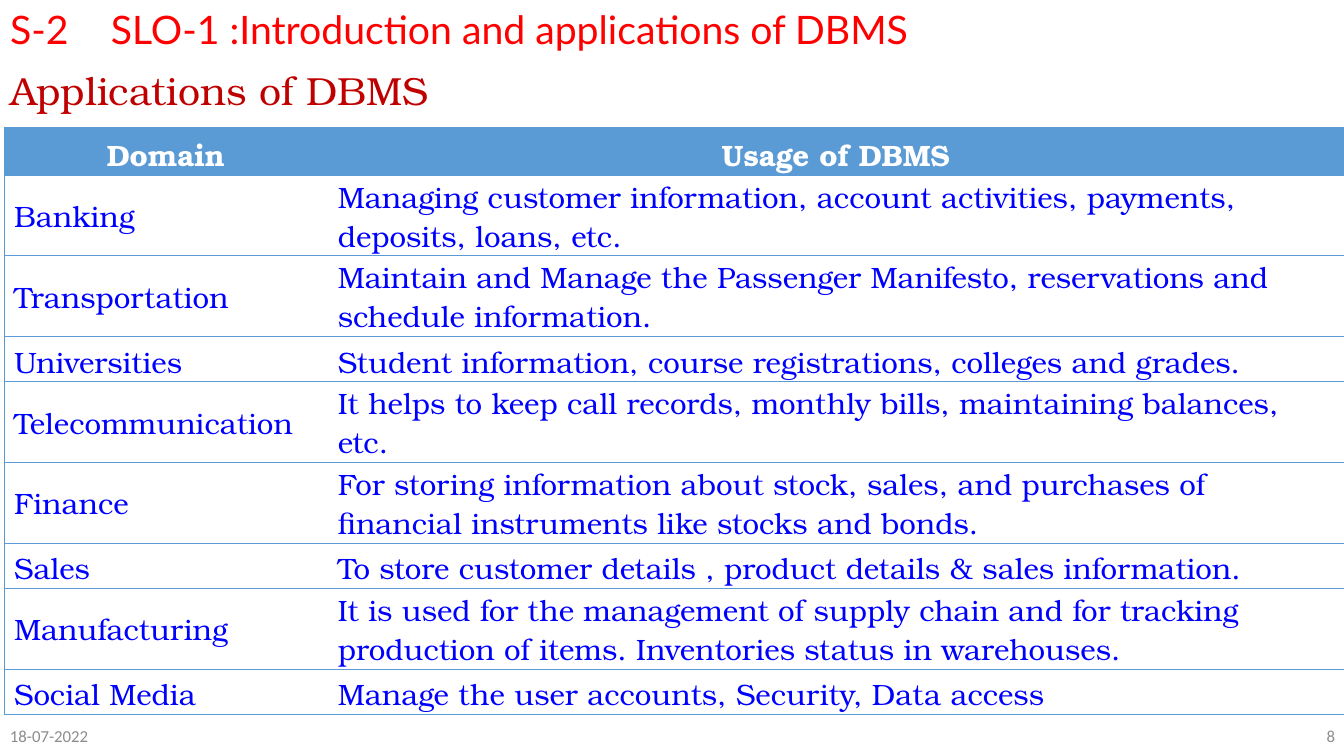
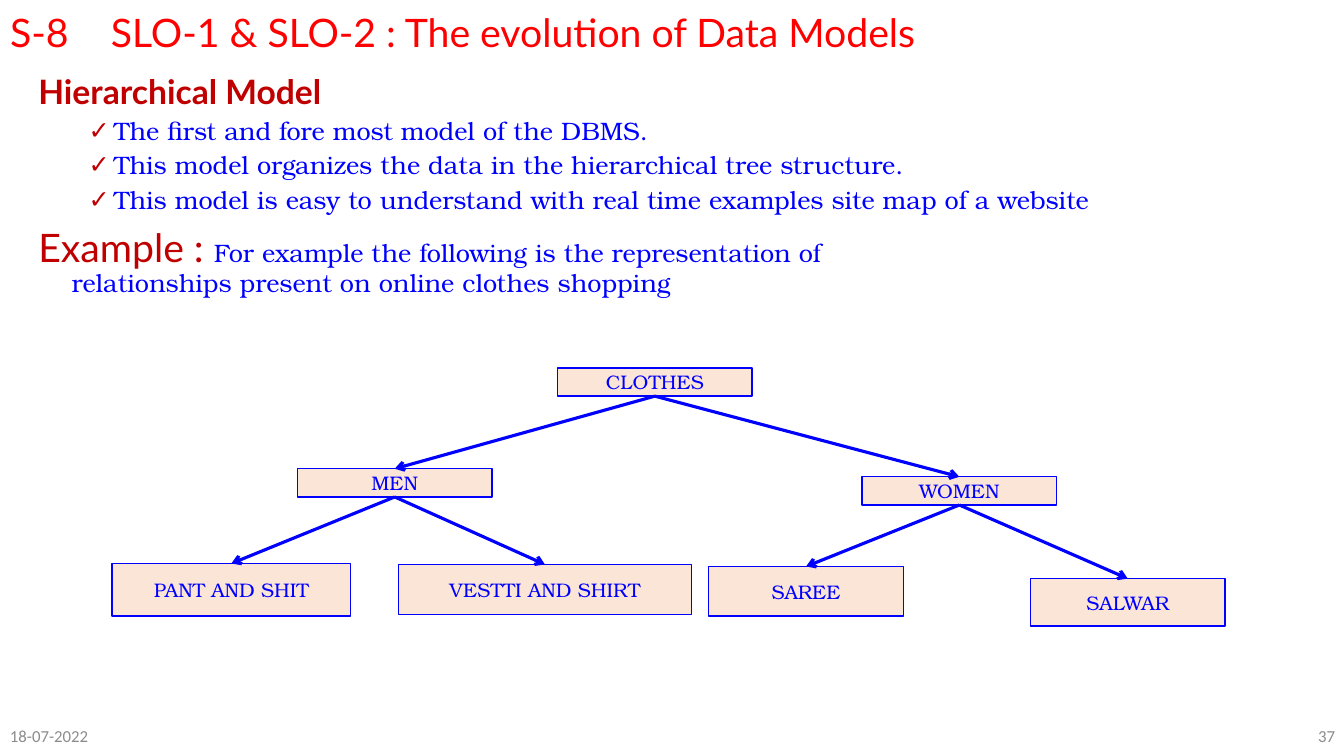
from dataclasses import dataclass

from lxml import etree
from pptx import Presentation
from pptx.dml.color import RGBColor
from pptx.enum.shapes import MSO_CONNECTOR, MSO_SHAPE
from pptx.enum.text import MSO_ANCHOR, MSO_AUTO_SIZE, PP_ALIGN
from pptx.oxml.ns import qn
from pptx.util import Inches, Pt

LEFT, CENTER, RIGHT = PP_ALIGN.LEFT, PP_ALIGN.CENTER, PP_ALIGN.RIGHT
TOP, MIDDLE = MSO_ANCHOR.TOP, MSO_ANCHOR.MIDDLE
NO_AUTOFIT = MSO_AUTO_SIZE.NONE
RECTANGLE, STRAIGHT = MSO_SHAPE.RECTANGLE, MSO_CONNECTOR.STRAIGHT
BOTTOM_SITE, TOP_SITE = 2, 0


@dataclass(frozen=True)
class TextStyle:
    face: str
    size: float
    color: str
    bold: bool = False


@dataclass(frozen=True)
class Theme:
    blue: str = "0000FF"
    table_blue: str = "5B9BD5"
    dark_red: str = "C00000"
    peach: str = "FBE5D6"
    title: TextStyle = TextStyle("Lato", 28, "FF0000")
    subtitle: TextStyle = TextStyle("TeX Gyre Bonum", 28, "C00000")
    heading: TextStyle = TextStyle("Lato", 24, "C00000", True)
    lead: TextStyle = TextStyle("Lato", 28, "C00000")
    body: TextStyle = TextStyle("TeX Gyre Bonum", 18, "0000FF")
    node: TextStyle = TextStyle("TeX Gyre Bonum", 14, "0000FF")
    table_header: TextStyle = TextStyle("TeX Gyre Bonum", 21, "FFFFFF", True)
    table_body: TextStyle = TextStyle("TeX Gyre Bonum", 21, "0000FF")
    footer: TextStyle = TextStyle("Calibri", 12, "8C8C8C")


@dataclass(frozen=True)
class Box:
    left: float
    top: float
    width: float
    height: float

    def lengths(self) -> tuple:
        return tuple(Inches(value) for value in (self.left, self.top, self.width, self.height))


@dataclass(frozen=True)
class Usage:
    domain: str
    text: str
    lines: int = 2


@dataclass(frozen=True)
class Node:
    label: str
    box: Box
    parent: str = ""


THEME = Theme()
DATE = "18-07-2022"
ROW_HEIGHTS = {1: 0.45, 2: 0.8}
ROW_TOP_MARGINS = {1: 0.05, 2: 0.01}

USAGES = [
    Usage("Domain", "Usage of DBMS", 1),
    Usage("Banking", "Managing customer information, account activities, payments, deposits, loans, etc."),
    Usage("Transportation", "Maintain and Manage the Passenger Manifesto, reservations and schedule information."),
    Usage("Universities", "Student information, course registrations, colleges and grades.", 1),
    Usage("Telecommunication", "It helps to keep call records, monthly bills, maintaining balances, etc."),
    Usage("Finance", "For storing information about stock, sales, and purchases of financial instruments "
          "like stocks and bonds."),
    Usage("Sales", "To store customer details , product details & sales information.", 1),
    Usage("Manufacturing", "It is used for the management of supply chain and for tracking production of items. "
          "Inventories status in warehouses."),
    Usage("Social Media", "Manage the user accounts, Security, Data access", 1),
]

MODEL_POINTS = [
    "The first and fore most model of the DBMS.",
    "This model organizes the data in the hierarchical tree structure.",
    "This model is easy to understand with real time examples site map of a website",
]

NODES = [
    Node("CLOTHES", Box(5.53, 3.65, 1.93, 0.28)),
    Node("MEN", Box(2.95, 4.65, 1.93, 0.28), "CLOTHES"),
    Node("WOMEN", Box(8.55, 4.73, 1.93, 0.28), "CLOTHES"),
    Node("PANT AND SHIT", Box(1.11, 5.59, 2.37, 0.52), "MEN"),
    Node("VESTTI AND SHIRT", Box(3.95, 5.6, 2.91, 0.5), "MEN"),
    Node("SAREE", Box(7.03, 5.62, 1.93, 0.49), "WOMEN"),
    Node("SALWAR", Box(10.22, 5.74, 1.93, 0.47), "WOMEN"),
]


def rgb(color: str) -> RGBColor:
    return RGBColor.from_string(color)


def apply_font(font, style: TextStyle) -> None:
    font.name = style.face
    font.size = Pt(style.size)
    font.bold = style.bold
    font.color.rgb = rgb(style.color)


def write(paragraph, text: str, style: TextStyle, alignment=LEFT) -> None:
    paragraph.text = text
    paragraph.alignment = alignment
    apply_font(paragraph.font, style)


def place(shape, box: Box, anchor=TOP) -> None:
    shape.left, shape.top, shape.width, shape.height = box.lengths()
    frame = shape.text_frame
    frame.word_wrap = True
    frame.auto_size = NO_AUTOFIT
    frame.vertical_anchor = anchor


def format_body(paragraph, indent: float, hanging: float, before: float, bullet: str = "") -> None:
    properties = paragraph._p.get_or_add_pPr()
    properties.set("marL", str(Inches(indent)))
    properties.set("indent", str(-Inches(hanging)))
    if bullet:
        color = etree.SubElement(properties, qn("a:buClr"))
        etree.SubElement(color, qn("a:srgbClr")).set("val", THEME.dark_red)
        etree.SubElement(properties, qn("a:buChar")).set("char", bullet)
    else:
        etree.SubElement(properties, qn("a:buNone"))
    paragraph.line_spacing = 0.9
    paragraph.space_before = Pt(before)


def add_slide(presentation, title: str, title_top: float, number: str, body_box: Box):
    slide = presentation.slides.add_slide(presentation.slide_layouts[1])
    place(slide.shapes.title, Box(0, title_top, 12, 0.57))
    write(slide.shapes.title.text_frame.paragraphs[0], title, THEME.title)
    place(slide.placeholders[1], body_box)
    for left, text, alignment in ((0, DATE, LEFT), (8.92, number, RIGHT)):
        box = Box(left, 7.1, 4.42, 0.4)
        footer = slide.shapes.add_textbox(*box.lengths())
        place(footer, box, MIDDLE)
        write(footer.text_frame.paragraphs[0], text, THEME.footer, alignment)
    return slide


def set_borders(cell, sides: str) -> None:
    properties = cell._tc.get_or_add_tcPr()
    for side in "LRTB":
        line = etree.SubElement(properties, qn(f"a:ln{side}"))
        if side in sides:
            line.set("w", str(Pt(0.5)))
            fill = etree.SubElement(line, qn("a:solidFill"))
            etree.SubElement(fill, qn("a:srgbClr")).set("val", THEME.table_blue)
        else:
            etree.SubElement(line, qn("a:noFill"))


def add_usage_table(slide) -> None:
    box = Box(0.04, 1.26, 13.29, 5.8)
    table = slide.shapes.add_table(len(USAGES), 2, *box.lengths()).table
    table.first_row = table.horz_banding = False
    for column, width in zip(table.columns, (3.21, 10.08)):
        column.width = Inches(width)
    for row_index, usage in enumerate(USAGES):
        is_header = row_index == 0
        row = table.rows[row_index]
        row.height = Inches(ROW_HEIGHTS[usage.lines])
        for cell, text, sides in zip(row.cells, (usage.domain, usage.text), ("LTB", "RTB")):
            cell.margin_top = Inches(ROW_TOP_MARGINS[usage.lines])
            cell.margin_bottom = 0
            cell.vertical_anchor = MIDDLE
            set_borders(cell, sides)
            if is_header:
                cell.fill.solid()
                cell.fill.fore_color.rgb = rgb(THEME.table_blue)
            else:
                cell.fill.background()
            write(cell.text_frame.paragraphs[0], text,
                  THEME.table_header if is_header else THEME.table_body,
                  CENTER if is_header else LEFT)


def add_node(slide, node: Node):
    shape = slide.shapes.add_shape(RECTANGLE, *node.box.lengths())
    shape.shadow.inherit = False
    shape.fill.solid()
    shape.fill.fore_color.rgb = rgb(THEME.peach)
    shape.line.color.rgb = rgb(THEME.blue)
    shape.line.width = Pt(1)
    frame = shape.text_frame
    frame.margin_top = frame.margin_bottom = 0
    frame.vertical_anchor = MIDDLE
    write(frame.paragraphs[0], node.label, THEME.node, CENTER)
    return shape


def add_arrow(slide, parent, child) -> None:
    connector = slide.shapes.add_connector(STRAIGHT, 0, 0, 0, 0)
    connector.begin_connect(parent, BOTTOM_SITE)
    connector.end_connect(child, TOP_SITE)
    connector.line.color.rgb = rgb(THEME.blue)
    connector.line.width = Pt(2.25)
    properties = connector._element.spPr
    etree.SubElement(properties.find(qn("a:ln")), qn("a:tailEnd")).set("type", "arrow")
    etree.SubElement(properties, qn("a:effectLst"))


def add_tree(slide) -> None:
    shapes = {node.label: add_node(slide, node) for node in NODES}
    for node in NODES:
        if node.parent:
            add_arrow(slide, shapes[node.parent], shapes[node.label])


def build_applications(presentation) -> None:
    slide = add_slide(presentation, "S-2\tSLO-1 :Introduction and applications of DBMS", 0, "8",
                      Box(0, 0.66, 4.8, 0.6))
    paragraph = slide.placeholders[1].text_frame.paragraphs[0]
    format_body(paragraph, 0, 0, 0)
    write(paragraph, "Applications of DBMS", THEME.subtitle)
    add_usage_table(slide)


def build_hierarchical_model(presentation) -> None:
    slide = add_slide(presentation, "S-8\tSLO-1 & SLO-2 : The evolution of Data Models", 0.03, "37",
                      Box(0.28, 0.7, 11.5, 2.4))
    frame = slide.placeholders[1].text_frame
    heading = frame.paragraphs[0]
    format_body(heading, 0.25, 0.25, 0)
    write(heading, "Hierarchical Model", THEME.heading)
    for point in MODEL_POINTS:
        paragraph = frame.add_paragraph()
        paragraph.level = 1
        format_body(paragraph, 0.75, 0.25, 5, "✓")
        write(paragraph, point, THEME.body)
    example = frame.add_paragraph()
    format_body(example, 0.33, 0.33, 10)
    lead = example.add_run()
    lead.text = "Example : "
    apply_font(lead.font, THEME.lead)
    for line_index, text in enumerate(("For example the following is the representation of",
                                       "relationships present on online clothes shopping")):
        if line_index:
            example.add_line_break()
        run = example.add_run()
        run.text = text
        apply_font(run.font, THEME.body)
    add_tree(slide)


def main() -> None:
    presentation = Presentation()
    presentation.slide_width = Inches(13.33)
    presentation.slide_height = Inches(7.5)
    build_applications(presentation)
    build_hierarchical_model(presentation)
    presentation.save("out.pptx")


if __name__ == "__main__":
    main()
